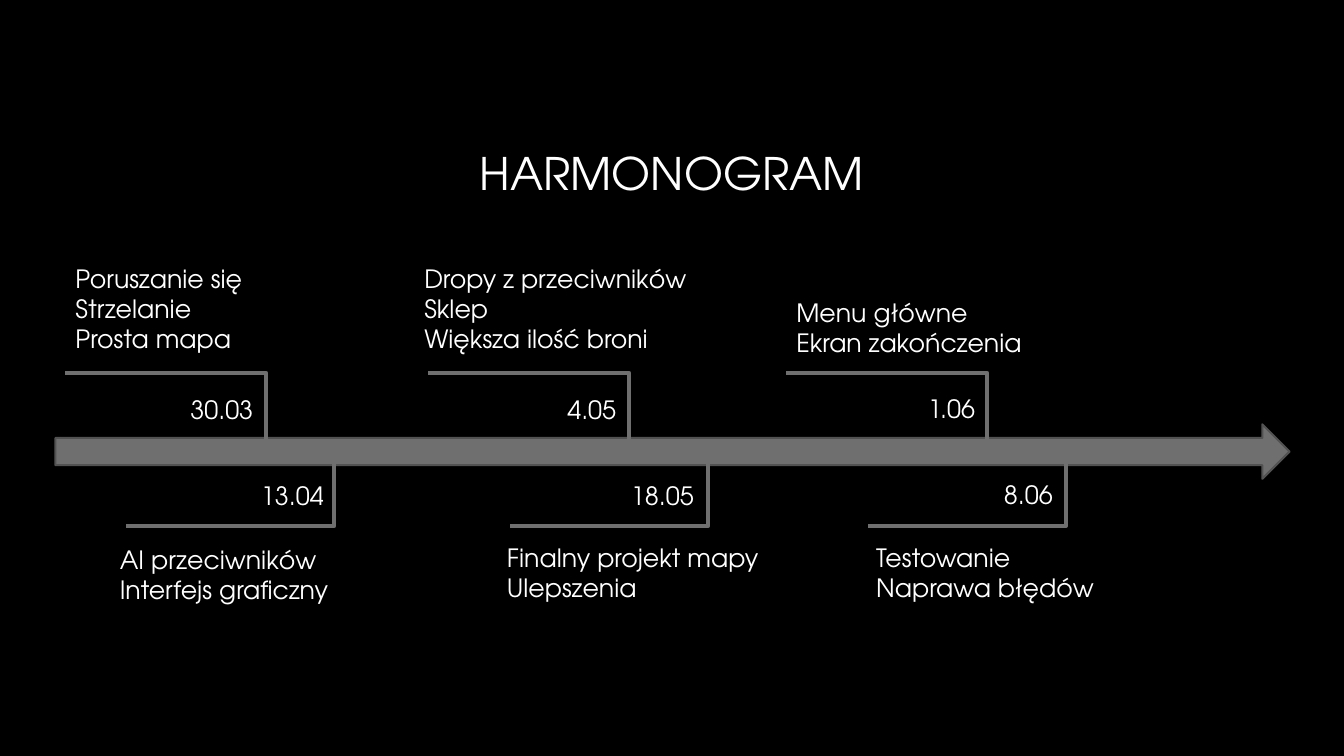
from pptx import Presentation
from pptx.dml.color import RGBColor
from pptx.enum import shapes, text
from pptx.oxml.ns import qn
from pptx.util import Inches, Pt
from lxml import etree

FONT = "TeX Gyre Adventor"
WHITE, BLACK, GREY, DARK_GREY = "FFFFFF", "000000", "6F6F6F", "525252"

TITLE = "HARMONOGRAM"
# date, (right edge, top) of date, bracket (left, length), tasks, tasks (left, top, width)
ABOVE = [
    ("30.03", (2.61, 3.86), (0.65, 3.98),
     ["Poruszanie się", "Strzelanie", "Prosta mapa"], (0.65, 2.56, 1.96)),
    ("4.05", (6.21, 3.86), (4.25, 3.98),
     ["Dropy z przeciwników", "Sklep", "Większa ilość broni"], (4.11, 2.56, 2.84)),
    ("1.06", (9.77, 3.85), (7.8, 3.98),
     ["Menu główne", "Ekran zakończenia"], (7.8, 2.9, 2.53)),
]
BELOW = [
    ("13.04", (3.31, 4.72), (1.25, 4.13),
     ["AI przeciwników", "Interfejs graficzny"], (1.09, 5.35, 2.3)),
    ("18.05", (6.98, 4.72), (5.06, 3.92),
     ["Finalny projekt mapy", "Ulepszenia"], (4.93, 5.33, 2.74)),
    ("8.06", (10.54, 4.71), (8.61, 3.92),
     ["Testowanie", "Naprawa błędów"], (8.59, 5.33, 2.41)),
]
DATE_HEIGHT = 0.4
LINE_HEIGHT = 0.305
ABOVE_OUTER, ABOVE_INNER = 3.7, 4.41
BELOW_OUTER, BELOW_INNER = 5.22, 4.55


def color(hex_code):
    return RGBColor.from_string(hex_code)


def add_text(page, lines, left, top, width, height, size=18,
             align=text.PP_ALIGN.LEFT, anchor=text.MSO_ANCHOR.TOP):
    box = page.shapes.add_textbox(*map(Inches, (left, top, width, height)))
    frame = box.text_frame
    frame.word_wrap = True
    frame.vertical_anchor = anchor
    frame.text = "\n".join(lines)
    for para in frame.paragraphs:
        para.alignment = align
        para.font.name = FONT
        para.font.size = Pt(size)
        para.font.color.rgb = color(WHITE)


def add_bracket(page, start, end):
    """Draw an elbow line that bends halfway between start and end."""
    bracket = page.shapes.add_connector(
        shapes.MSO_CONNECTOR.ELBOW, *map(Inches, start + end))
    bracket.line.color.rgb = color(GREY)
    bracket.line.width = Pt(3)
    properties = bracket._element.find(qn("p:spPr"))
    etree.SubElement(properties, qn("a:effectLst"))


def add_milestone(page, date, date_corner, tasks, tasks_place):
    right, top = date_corner
    width = 1.9
    add_text(page, [date], right - width, top, width, DATE_HEIGHT,
             align=text.PP_ALIGN.RIGHT)
    add_text(page, tasks, *tasks_place, 0.1 + LINE_HEIGHT * len(tasks))


def main():
    deck = Presentation()
    deck.slide_width, deck.slide_height = Inches(13.33), Inches(7.5)
    page = deck.slides.add_slide(deck.slide_layouts[6])
    page.background.fill.solid()
    page.background.fill.fore_color.rgb = color(BLACK)

    add_text(page, [TITLE], 1.25, 0.67, 10.83, 2.08, size=32,
             align=text.PP_ALIGN.CENTER, anchor=text.MSO_ANCHOR.MIDDLE)

    timeline = page.shapes.add_shape(
        shapes.MSO_SHAPE.RIGHT_ARROW, *map(Inches, (0.55, 4.21, 12.24, 0.54)))
    timeline.shadow.inherit = False
    timeline.fill.solid()
    timeline.fill.fore_color.rgb = color(GREY)
    timeline.line.color.rgb = color(DARK_GREY)
    timeline.line.width = Pt(1.5)

    for date, date_corner, (left, length), tasks, tasks_place in ABOVE:
        add_bracket(page, (left + length, ABOVE_INNER), (left, ABOVE_OUTER))
        add_milestone(page, date, date_corner, tasks, tasks_place)
    for date, date_corner, (left, length), tasks, tasks_place in BELOW:
        add_bracket(page, (left, BELOW_OUTER), (left + length, BELOW_INNER))
        add_milestone(page, date, date_corner, tasks, tasks_place)

    deck.save("out.pptx")


if __name__ == "__main__":
    main()
